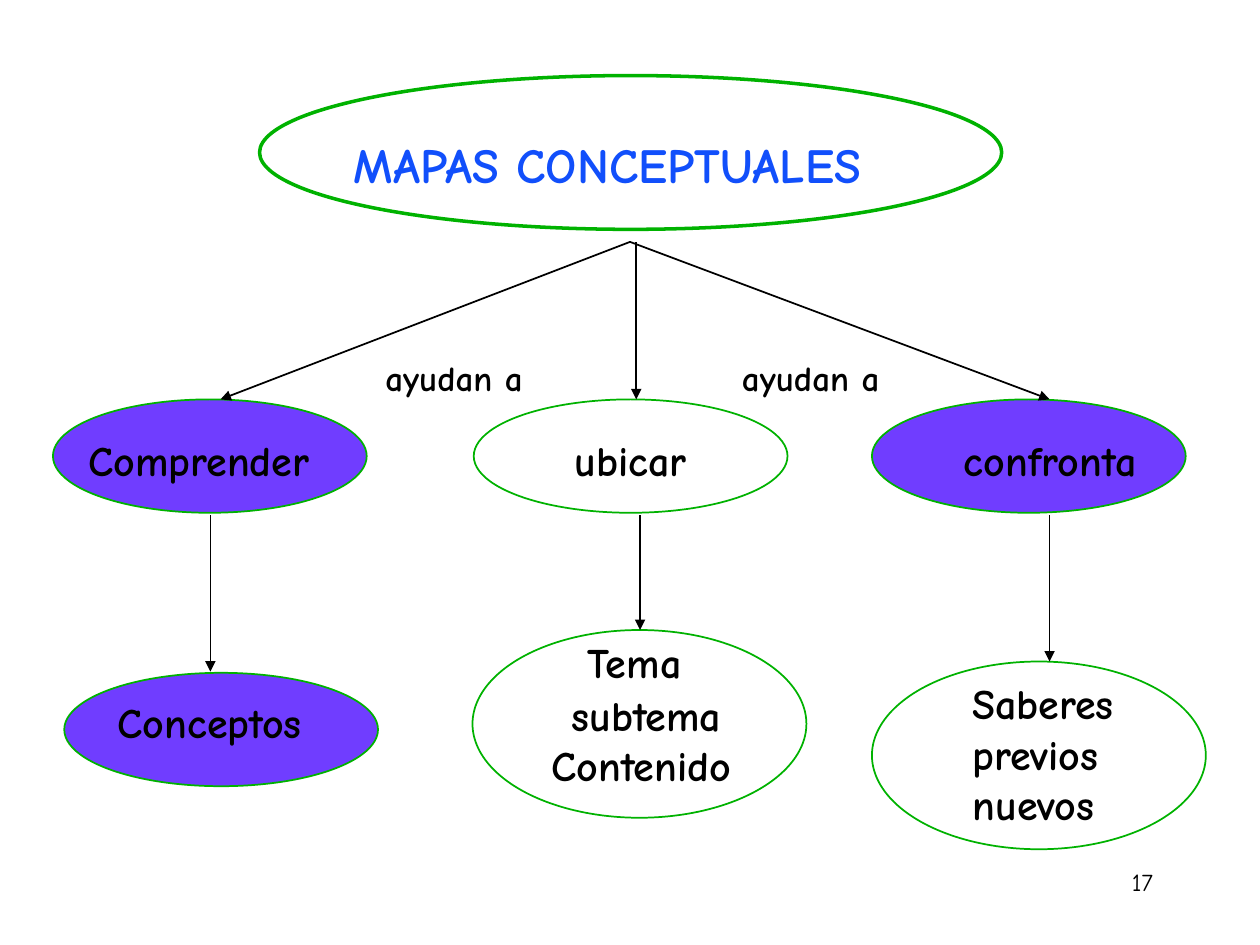
from lxml import etree
from pptx import Presentation
from pptx.dml.color import RGBColor
from pptx.enum import shapes, text
from pptx.oxml.ns import qn
from pptx.util import Inches, Pt

FONT = "Comic Neue"
BLACK = RGBColor(0x00, 0x00, 0x00)
WHITE = RGBColor(0xFF, 0xFF, 0xFF)
GREEN = RGBColor(0x00, 0xB2, 0x00)
PURPLE = RGBColor(0x70, 0x3D, 0xFF)
BLUE = RGBColor(0x11, 0x4F, 0xFB)
LEFT, CENTER, RIGHT = text.PP_ALIGN.LEFT, text.PP_ALIGN.CENTER, text.PP_ALIGN.RIGHT


def add_text(s, box, lines, size=24, color=BLACK, bold=True, align=CENTER):
    """Place one paragraph per line of text in the box."""
    tf = s.shapes.add_textbox(*map(Inches, box)).text_frame
    tf.word_wrap = False
    for i, line in enumerate(lines.split("\n")):
        p = tf.paragraphs[0] if i == 0 else tf.add_paragraph()
        p.alignment = align
        r = p.add_run()
        r.text = line
        r.font.name, r.font.size, r.font.bold = FONT, Pt(size), bold
        r.font.color.rgb = color


def add_ellipse(s, box, fill=WHITE, weight=1):
    """Draw a green-edged ellipse filling the box."""
    sp = s.shapes.add_shape(shapes.MSO_SHAPE.OVAL, *map(Inches, box))
    sp.shadow.inherit = False
    sp.fill.solid()
    sp.fill.fore_color.rgb = fill
    sp.line.color.rgb = GREEN
    sp.line.width = Pt(weight)


def add_arrow(s, start, end):
    """Draw a black arrow from start to end."""
    sp = s.shapes.add_connector(shapes.MSO_CONNECTOR.STRAIGHT, *map(Inches, start + end))
    sp.line.color.rgb = BLACK
    sp.line.width = Pt(1)
    etree.SubElement(sp.line._get_or_add_ln(), qn("a:tailEnd"), type="triangle")
    etree.SubElement(sp._element.spPr, qn("a:effectLst"))


def add_node(s, box, label, dx, dy, width, height=0.5, fill=WHITE, weight=1, **fmt):
    """Draw an ellipse with a label offset from its top left corner."""
    left, top = box[:2]
    add_ellipse(s, box, fill, weight)
    add_text(s, (left + dx, top + dy, width, height), label, **fmt)


def add_title(s, box):
    """Draw the central concept."""
    add_node(s, box, "MAPAS CONCEPTUALES", 0.35, 0.42, 4.52, 0.57,
             weight=2, size=28, color=BLUE, align=RIGHT)


def add_verbs(s, left, top):
    """Draw the linking words and the row of verbs with their arrows."""
    verbs = [
        (0, "Comprender", 0.18, 1.96, PURPLE, 5, 1.75),
        (3.34, "ubicar", 0.7, 1.09, WHITE, 5.05, 5.05),
        (6.5, "confronta", 0.62, 1.59, PURPLE, 5, 8.33),
    ]
    for x, label, dx, width, fill, start, end in verbs:
        add_node(s, (left + x, top, 2.49, 0.9), label, dx, 0.23, width, fill=fill)
        add_arrow(s, (start, top - 1.25), (end, top))
    for x in (2.54, 5.37):
        add_text(s, (left + x, top - 0.39, 1.29, 0.43), "ayudan a", size=20, align=LEFT)


def add_objects(s, left, top):
    """Draw the lower row of concepts with the arrows that reach them."""
    add_node(s, (left, top + 0.34, 2.49, 0.9), "Conceptos", 0.32, 0.14, 1.67, fill=PURPLE)
    add_ellipse(s, (left + 3.24, top, 2.65, 1.49))
    topics = [("Tema", 3.99, 0, 1.07), ("subtema", 3.66, 0.42, 1.92),
              ("Contenido", 3.76, 0.82, 1.64)]
    for label, dx, dy, width in topics:
        add_text(s, (left + dx, top + dy, width, 0.5), label)
    add_node(s, (left + 6.41, top + 0.25, 2.65, 1.49), "Saberes\nprevios\nnuevos",
             0.7, 0.08, 1.41, 1.3, align=LEFT)
    for x, end in ((1.67, 0.33), (5.08, 0), (8.33, 0.25)):
        add_arrow(s, (x, top - 0.91), (x, top + end))


def main():
    """Build the concept map slide."""
    prs = Presentation()
    prs.slide_width, prs.slide_height = Inches(10), Inches(7.5)
    s = prs.slides.add_slide(prs.slide_layouts[6])
    add_title(s, (2.06, 0.6, 5.89, 1.22))
    add_verbs(s, 0.42, 3.17)
    add_objects(s, 0.51, 5)
    add_text(s, (7.17, 6.83, 2.08, 0.5), "17", size=14, bold=False, align=RIGHT)
    prs.save("out.pptx")


if __name__ == "__main__":
    main()
